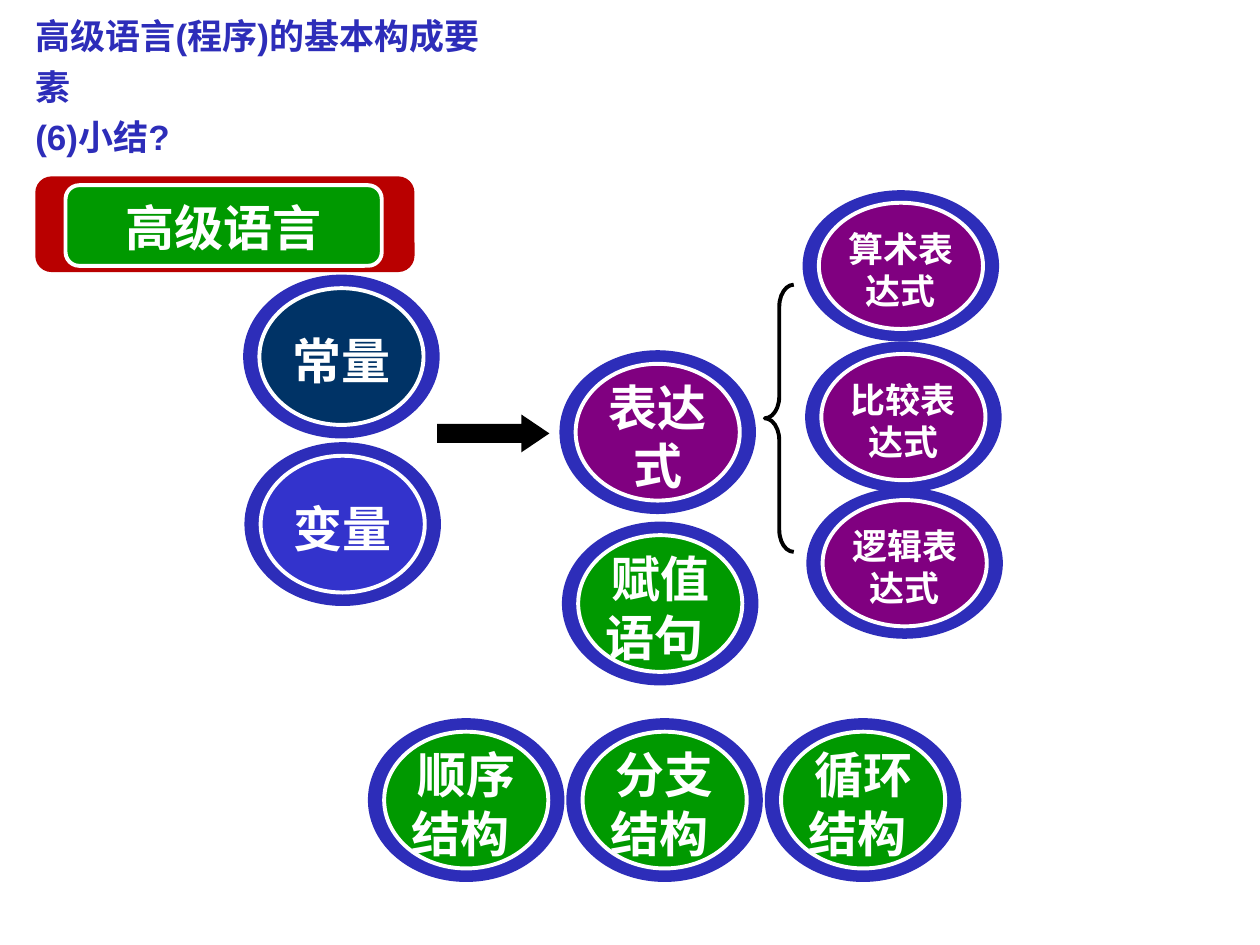
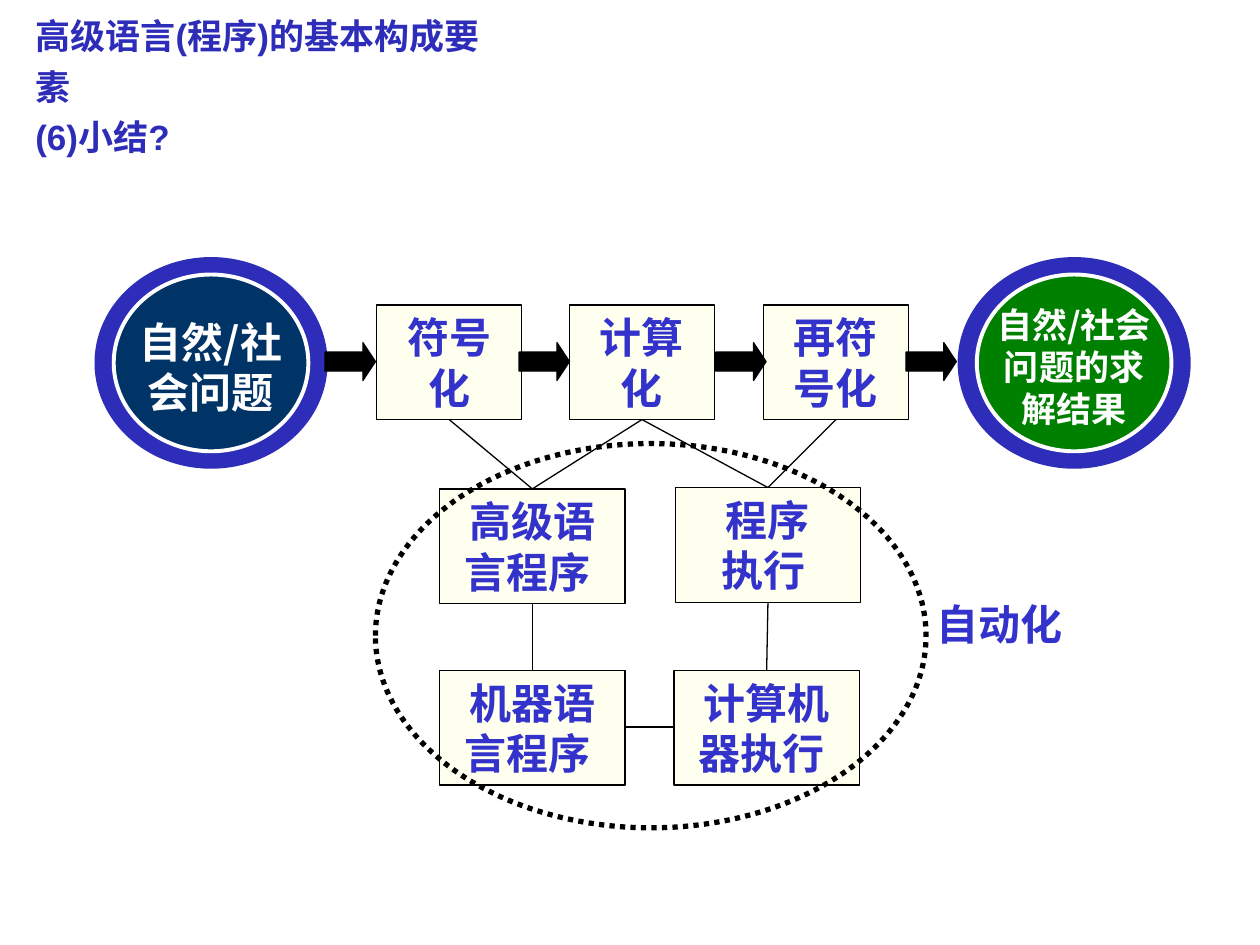
"""Build two summary slides on the elements of a high-level programming language."""
import pptx
import pptx.dml.color
import pptx.enum.dml
import pptx.enum.shapes
import pptx.enum.text
import pptx.util
import lxml.etree

Inches = pptx.util.Inches
Pt = pptx.util.Pt
SHAPE = pptx.enum.shapes.MSO_SHAPE
ALIGN = pptx.enum.text.PP_ALIGN
ANCHOR = pptx.enum.text.MSO_ANCHOR
DRAWING = "{http://schemas.openxmlformats.org/drawingml/2006/main}"

CJK = "Noto Sans CJK SC"
LATIN = "Arial"
WHITE, BLACK, CREAM = "FFFFFF", "000000", "FFFFEF"
RING, BLUE, NAVY = "2D2DB9", "3333CC", "003366"
GREEN, DARK_GREEN, PURPLE, RED = "009900", "008000", "800080", "B90000"


def paint(fill, colour):
    """Give a shape, line or font fill a hex colour, or clear it."""
    if colour is None:
        fill.background()
    else:
        fill.solid()
        fill.fore_color.rgb = pptx.dml.color.RGBColor.from_string(colour)


def write(shape, text, size=24, colour=BLUE, font=LATIN, align=ALIGN.CENTER,
          anchor=ANCHOR.MIDDLE, spacing=1.2):
    """Fill a shape with bold text, one paragraph per line."""
    frame = shape.text_frame
    frame.word_wrap = True
    frame.auto_size = pptx.enum.text.MSO_AUTO_SIZE.NONE
    frame.vertical_anchor = anchor
    frame.text = text
    for paragraph in frame.paragraphs:
        paragraph.alignment = align
        paragraph.line_spacing = Pt(size * spacing)
        for run in paragraph.runs:
            run.font.size = Pt(size)
            run.font.bold = True
            run.font.name = font
            paint(run.font.fill, colour)
            east_asian = lxml.etree.SubElement(run.font._element, DRAWING + "ea")
            east_asian.set("typeface", CJK)


presentation = pptx.Presentation()
presentation.slide_width = Inches(10)
presentation.slide_height = Inches(7.5)

slides = []
for number in range(2):
    slide = presentation.slides.add_slide(presentation.slide_layouts[5])
    title = slide.shapes.title
    title.left, title.top, title.width, title.height = map(Inches, (0.18, 0, 4, 0.9))
    write(title, "高级语言(程序)的基本构成要素\n(6)小结?", size=20, colour=RING,
          align=ALIGN.LEFT, anchor=ANCHOR.TOP, spacing=1.44)
    slides.append(slide)
elements, process = slides

large, flat, wide = (1.56, 1.3), (1.56, 1.2), (1.85, 1.68)
rings = [
    (elements, 1.93, 2.18, large, NAVY, 28, "常量"),
    (elements, 1.94, 3.51, large, BLUE, 28, "变量"),
    (elements, 4.46, 4.14, large, GREEN, 28, "赋值语句 "),
    (elements, 6.37, 1.51, flat, PURPLE, 20, "算术表达式"),
    (elements, 6.39, 2.71, flat, PURPLE, 20, "比较表达式"),
    (elements, 6.4, 3.87, flat, PURPLE, 20, "逻辑表达式"),
    (elements, 4.44, 2.78, large, PURPLE, 28, "表达式"),
    (process, 0.75, 2.04, wide, NAVY, 24, "自然/社会问题"),
    (process, 7.6, 2.04, wide, DARK_GREEN, 20, "自然/社会问题的求解结果"),
]
for column, structure in enumerate(("顺序结构 ", "分支结构 ", "循环结构 ")):
    rings.append((elements, 2.92 + 1.575 * column, 5.7, large, GREEN, 28, structure))

figures = []
for slide, x, y, (width, height), fill, size, text in rings:
    inner_width, inner_height = 0.835 * width, 0.835 * height
    inner_x, inner_y = x + (width - inner_width) / 2, y + (height - inner_height) / 2
    figures.append((slide, SHAPE.OVAL, (x, y, width, height), RING, None, 0, ()))
    figures.append((slide, SHAPE.OVAL, (inner_x, inner_y, inner_width, inner_height),
                    fill, WHITE, 2.25, ()))

figures += [
    (elements, SHAPE.RIGHT_ARROW, (3.47, 3.29, 0.89, 0.3), BLACK, None, 0, (0.5, 0.74)),
    (elements, SHAPE.LEFT_BRACE, (6.07, 2.26, 0.23, 2.12), None, BLACK, 2.25, (0.76, 0.5)),
    (elements, SHAPE.ROUNDED_RECTANGLE, (0.28, 1.4, 3.01, 0.76), RED, None, 0, (0.17,)),
    (elements, SHAPE.ROUNDED_RECTANGLE, (0.52, 1.47, 2.51, 0.64), GREEN, WHITE, 2.25,
     (0.17,)),
]
steps = {"符号化": (2.99, 2.42, 1.15, 0.91), "计算化": (4.52, 2.42, 1.15, 0.91),
         "再符号化": (6.06, 2.42, 1.15, 0.91), "高级语言程序 ": (3.49, 3.88, 1.47, 0.91),
         "程序\n执行 ": (5.36, 3.87, 1.47, 0.91), "机器语言程序 ": (3.49, 5.32, 1.47, 0.91),
         "计算机器执行 ": (5.35, 5.32, 1.47, 0.91)}
for box in steps.values():
    figures.append((process, SHAPE.RECTANGLE, box, CREAM, BLACK, 0.75, ()))
for x in (2.58, 4.12, 5.68, 7.19):
    figures.append((process, SHAPE.RIGHT_ARROW, (x, 2.72, 0.4, 0.3), BLACK, BLACK, 0.75,
                    (0.5, 0.33)))

for slide, kind, box, fill, line, line_width, adjustments in figures:
    shape = slide.shapes.add_shape(kind, *map(Inches, box))
    shape.shadow.inherit = False
    paint(shape.fill, fill)
    paint(shape.line.fill, line)
    if line:
        shape.line.width = Pt(line_width)
    for index, value in enumerate(adjustments):
        shape.adjustments[index] = value
    for text, step_box in steps.items():
        if box is step_box:
            write(shape, text)

links = [("符号化", "高级语言程序 "), ("计算化", "高级语言程序 "),
         ("计算化", "程序\n执行 "), ("再符号化", "程序\n执行 "),
         ("高级语言程序 ", "机器语言程序 "), ("程序\n执行 ", "计算机器执行 ")]
segments = []
for upper, lower in links:
    upper_x, upper_y, upper_width, upper_height = steps[upper]
    lower_x, lower_y, lower_width, lower_height = steps[lower]
    segments.append((upper_x + upper_width / 2, upper_y + upper_height,
                     lower_x + lower_width / 2, lower_y))
segments.append((4.96, 5.77, 5.35, 5.77))
for segment in segments:
    connector = process.shapes.add_connector(
        pptx.enum.shapes.MSO_CONNECTOR.STRAIGHT, *map(Inches, segment))
    paint(connector.line.fill, BLACK)
    connector.line.width = Pt(0.75)
    lxml.etree.SubElement(connector._element.spPr, DRAWING + "effectLst")

automation = process.shapes.add_shape(
    SHAPE.OVAL, Inches(2.98), Inches(3.52), Inches(4.37), Inches(3.05))
automation.shadow.inherit = False
paint(automation.fill, None)
paint(automation.line.fill, BLACK)
automation.line.width = Pt(3)
automation.line.dash_style = pptx.enum.dml.MSO_LINE.ROUND_DOT

for slide, x, y, (width, height), fill, size, text in rings:
    label_width = 0.83 * width
    label = slide.shapes.add_textbox(
        Inches(x + (width - label_width) / 2), Inches(y + 0.13),
        Inches(label_width), Inches(height - 0.2))
    write(label, text, size=size, colour=WHITE, font=CJK)

heading = elements.shapes.add_textbox(Inches(0.44), Inches(1.49), Inches(2.67), Inches(0.62))
write(heading, "高级语言", size=28, colour=WHITE, font=CJK)
caption = process.shapes.add_textbox(Inches(7.24), Inches(4.7), Inches(1.38), Inches(0.5))
write(caption, "自动化")

presentation.save("out.pptx")
